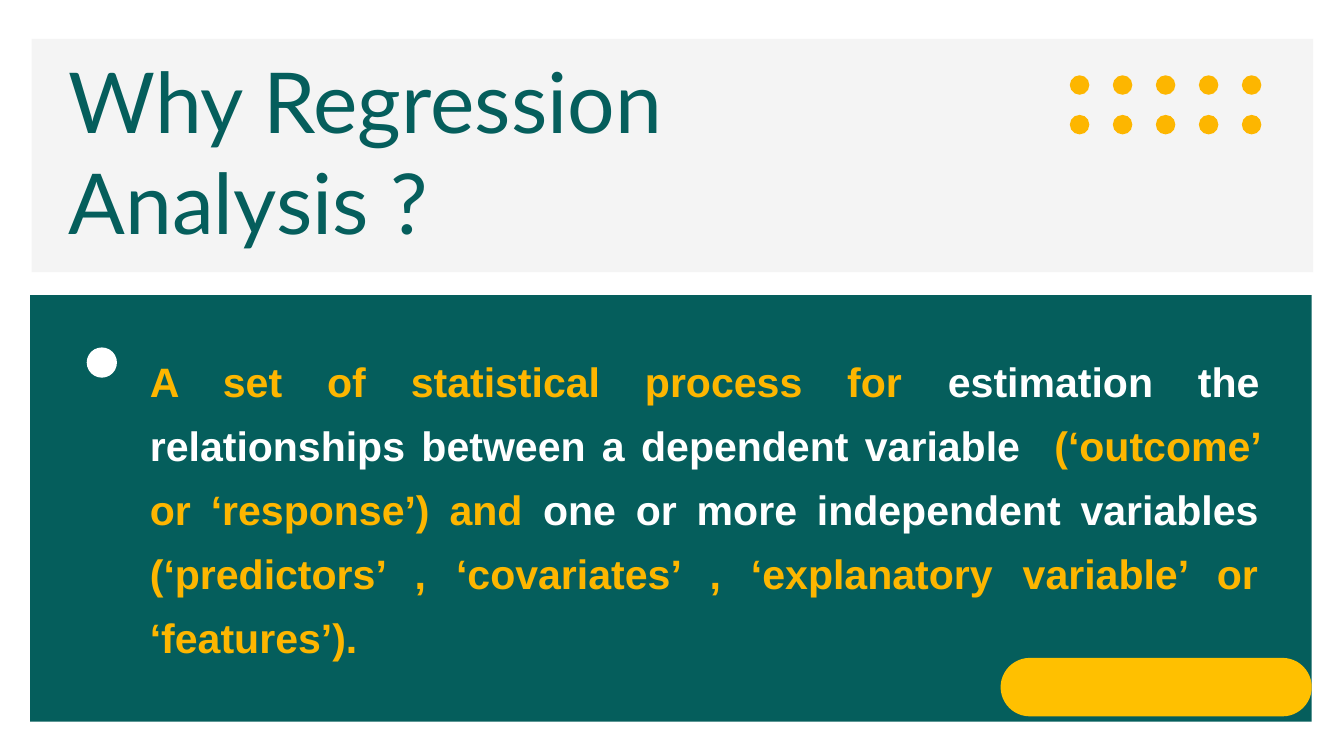
from dataclasses import dataclass

from lxml import etree
from pptx import Presentation
from pptx.dml.color import RGBColor
from pptx.enum.shapes import MSO_SHAPE
from pptx.enum.text import MSO_ANCHOR, MSO_AUTO_SIZE, PP_ALIGN
from pptx.oxml.ns import qn
from pptx.util import Pt

RECTANGLE = MSO_SHAPE.RECTANGLE
OVAL = MSO_SHAPE.OVAL
PILL = MSO_SHAPE.ROUNDED_RECTANGLE
LEFT = PP_ALIGN.LEFT
JUSTIFY = PP_ALIGN.JUSTIFY
TOP = MSO_ANCHOR.TOP
NO_AUTOFIT = MSO_AUTO_SIZE.NONE

EMU_PER_PX = 9144  # 100 px to the inch
TITLE_AND_CONTENT = 1


@dataclass(frozen=True)
class Theme:
    teal: str = "055E5C"
    yellow: str = "FDB600"
    amber: str = "FFC000"
    white: str = "FFFFFF"
    grey: str = "F4F4F4"
    title_font: str = "Lato"
    body_font: str = "Arial"
    title_size: int = 90
    body_size: int = 44


THEME = Theme()

# Each line holds (text, colour) pieces; a new line starts after a break
DEFINITION = [
    [
        ("A set of statistical process for ", THEME.yellow),
        ("estimation the relationships between a dependent variable", THEME.white),
        ("  (‘outcome’ or ‘response’) and ", THEME.yellow),
        ("one or more independent variables", THEME.white),
    ],
    [
        ("(‘predictors’ , ‘covariates’ , ‘explanatory variable’ or ‘features’).",
         THEME.yellow),
    ],
]


def px(length):
    return length * EMU_PER_PX


def add_filled(slide, preset, left, top, width, height, colour):
    shape = slide.shapes.add_shape(preset, px(left), px(top), px(width), px(height))
    shape.shadow.inherit = False
    shape.fill.solid()
    shape.fill.fore_color.rgb = RGBColor.from_string(colour)
    shape.line.fill.background()
    return shape


def add_dot_grid(slide, left, top, columns, rows, pitch_x, pitch_y, size):
    for row in range(rows):
        for column in range(columns):
            add_filled(slide, OVAL, left + column * pitch_x, top + row * pitch_y,
                       size, size, THEME.yellow)


def write_text(placeholder, lines, box, *, font, size, bold=False,
               align=LEFT, spacing=1.0):
    """Place a placeholder in front and fill it with coloured pieces of text."""
    placeholder.left, placeholder.top, placeholder.width, placeholder.height = map(px, box)
    placeholder.element.getparent().append(placeholder.element)

    frame = placeholder.text_frame
    frame.word_wrap = True
    frame.auto_size = NO_AUTOFIT
    frame.vertical_anchor = TOP
    frame.margin_left = frame.margin_top = frame.margin_right = frame.margin_bottom = 0

    paragraph = frame.paragraphs[0]
    paragraph.alignment = align
    paragraph.line_spacing = spacing
    paragraph.space_before = Pt(0)
    properties = paragraph._p.get_or_add_pPr()
    properties.set("marL", "0")
    properties.set("indent", "0")
    etree.SubElement(properties, qn("a:buNone"))

    for number, pieces in enumerate(lines):
        if number:
            paragraph.add_line_break()
        for text, colour in pieces:
            run = paragraph.add_run()
            run.text = text
            run.font.name = font
            run.font.size = Pt(size)
            run.font.bold = bold
            run.font.color.rgb = RGBColor.from_string(colour)


def main():
    presentation = Presentation()
    presentation.slide_width = px(2000)
    presentation.slide_height = px(1125)
    slide = presentation.slides.add_slide(presentation.slide_layouts[TITLE_AND_CONTENT])
    title, definition = slide.placeholders

    # Header band with its dots and title
    add_filled(slide, RECTANGLE, 47, 58, 1907, 347, THEME.grey)
    add_dot_grid(slide, 1592, 112, columns=5, rows=2, pitch_x=64, pitch_y=59, size=29)
    write_text(title, [[("Why Regression Analysis ?", THEME.teal)]],
               (102, 74, 1044, 303), font=THEME.title_font, size=THEME.title_size)

    # Definition panel with its marker
    add_filled(slide, RECTANGLE, 45, 439, 1907, 635, THEME.teal)
    write_text(definition, DEFINITION, (223, 509, 1652, 459), font=THEME.body_font,
               size=THEME.body_size, bold=True, align=JUSTIFY, spacing=1.3)
    add_filled(slide, OVAL, 129, 517, 45, 45, THEME.white)

    # Corner pill
    pill = add_filled(slide, PILL, 1489, 979, 463, 87, THEME.amber)
    pill.adjustments[0] = 0.5

    presentation.save("out.pptx")


if __name__ == "__main__":
    main()
